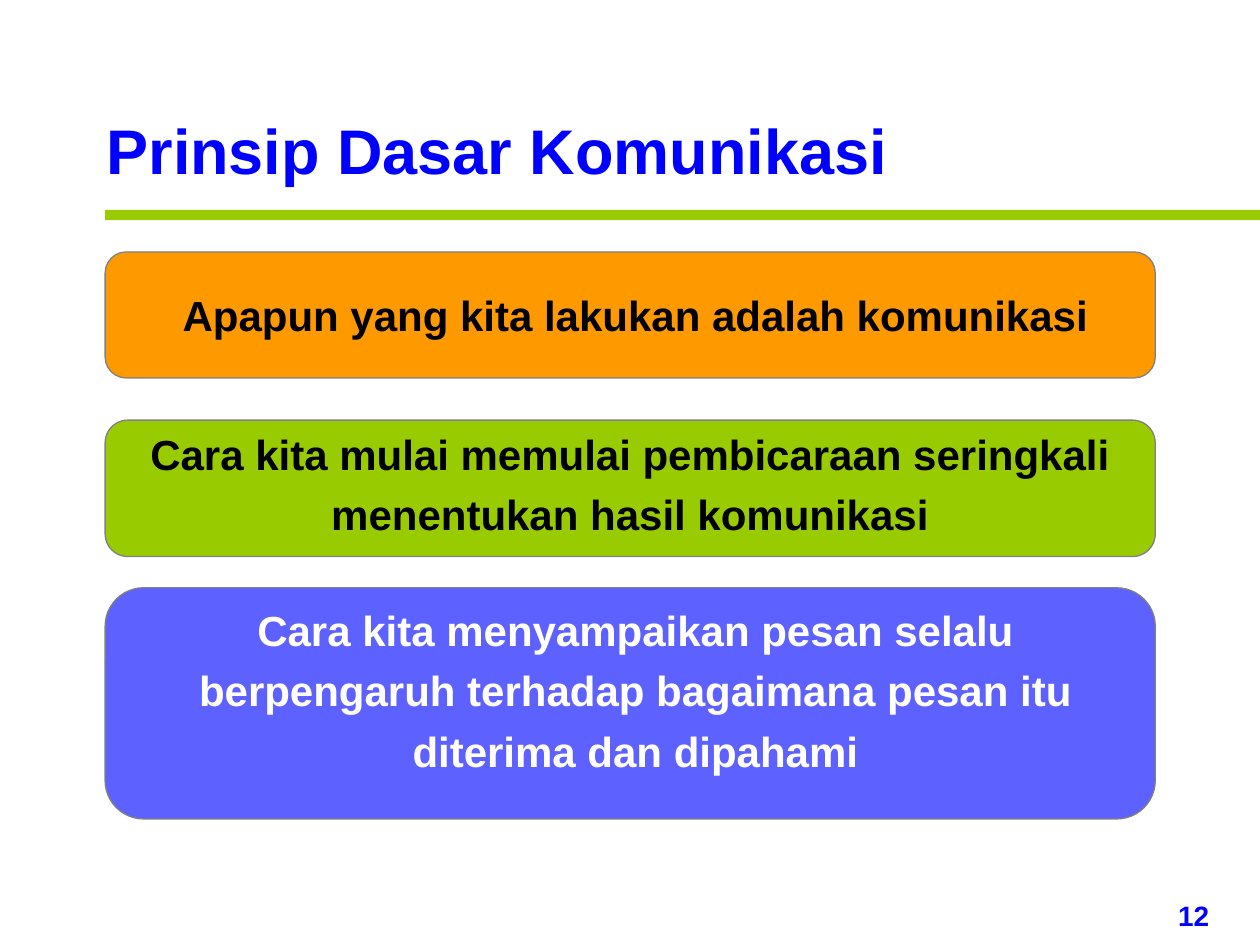
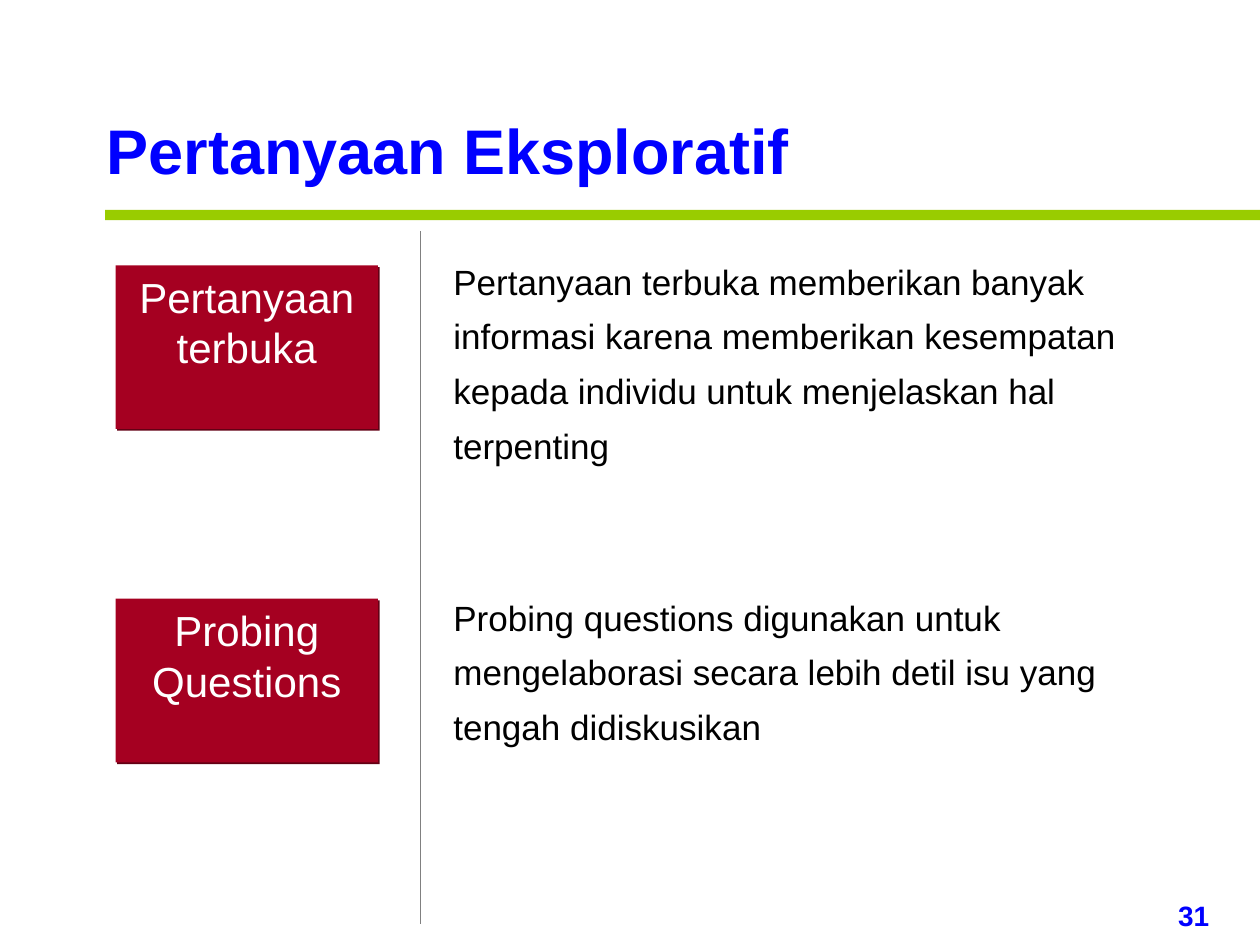
from lxml import etree
from pptx import Presentation
from pptx.dml.color import RGBColor
from pptx.enum.shapes import MSO_CONNECTOR, MSO_SHAPE
from pptx.enum.text import MSO_ANCHOR, PP_ALIGN
from pptx.oxml.ns import qn
from pptx.util import Cm, Pt

RECTANGLE, ROUNDED = MSO_SHAPE.RECTANGLE, MSO_SHAPE.ROUNDED_RECTANGLE
STRAIGHT = MSO_CONNECTOR.STRAIGHT
TOP = MSO_ANCHOR.TOP
LEFT, CENTER = PP_ALIGN.LEFT, PP_ALIGN.CENTER
FONT = "Arial"
COLORS = {
    "heading": "0000FF",
    "green": "99CC00",
    "orange": "FF9900",
    "violet": "5D61FF",
    "red": "A50021",
    "red_shadow": "630014",
    "outline": "808080",
    "black": "000000",
    "white": "FFFFFF",
}
MARGIN = 2.12


def write(holder, text, size, color, bold=False, align=LEFT, spacing=1.0):
    frame = holder.text_frame
    frame.text = text
    frame.word_wrap = True
    frame.vertical_anchor = TOP
    paragraph = frame.paragraphs[0]
    paragraph.alignment = align
    paragraph.line_spacing = spacing
    font = paragraph.runs[0].font
    font.name, font.size, font.bold = FONT, Pt(size), bold
    font.color.rgb = RGBColor.from_string(COLORS[color])


def add_panel(slide, kind, left, top, width, height, fill, outlined=False):
    panel = slide.shapes.add_shape(kind, Cm(left), Cm(top), Cm(width), Cm(height))
    panel.shadow.inherit = False
    panel.fill.solid()
    panel.fill.fore_color.rgb = RGBColor.from_string(COLORS[fill])
    if outlined:
        panel.line.color.rgb = RGBColor.from_string(COLORS["outline"])
        panel.line.width = Pt(0.75)
    else:
        panel.line.fill.background()
    return panel


prs = Presentation()
prs.slide_width, prs.slide_height = Cm(25.4), Cm(19.05)

slides = []
for heading, number in [("Prinsip Dasar Komunikasi", "12"), ("Pertanyaan Eksploratif", "31")]:
    slide = prs.slides.add_slide(prs.slide_layouts[6])
    page_number = slide.shapes.add_textbox(Cm(23.5), Cm(17.98), Cm(1.7), Cm(0.94))
    write(page_number, number, 16, "heading", bold=True)
    add_panel(slide, RECTANGLE, MARGIN, 4.23, 23.28, 0.21, "green")
    title = slide.shapes.add_textbox(Cm(1.9), Cm(2.12), Cm(18.2), Cm(1.78))
    write(title, heading, 36, "heading", bold=True)
    slides.append(slide)
principles_slide, questions_slide = slides

principles = [
    ("Apapun yang kita lakukan adalah komunikasi",
     "orange", "black", 5.08, 2.54, 5.5, 20.96),
    ("Cara kita mulai memulai pembicaraan seringkali menentukan hasil komunikasi",
     "green", "black", 8.47, 2.75, 8.31, 20.74),
    ("Cara kita menyampaikan pesan selalu berpengaruh terhadap bagaimana pesan itu "
     "diterima dan dipahami",
     "violet", "white", 11.85, 4.66, 11.85, 20.96),
]
for statement, fill, ink, top, height, text_top, text_width in principles:
    add_panel(principles_slide, ROUNDED, MARGIN, top, 21.17, height, fill, outlined=True)
    principle = principles_slide.shapes.add_textbox(
        Cm(2.33), Cm(text_top), Cm(text_width), Cm(height - 0.5))
    write(principle, statement, 24, ink, bold=True, align=CENTER, spacing=1.2)

questions = [
    ("Pertanyaan terbuka",
     "Pertanyaan terbuka memberikan banyak informasi karena memberikan kesempatan "
     "kepada individu untuk menjelaskan hal terpenting", 5.35, 4.87),
    ("Probing Questions",
     "Probing questions digunakan untuk mengelaborasi secara lebih detil isu yang "
     "tengah didiskusikan", 12.07, 11.64),
]
for label, explanation, label_top, explanation_top in questions:
    label_box = add_panel(questions_slide, RECTANGLE, 2.33, label_top, 5.29, 3.3, "red")
    write(label_box, label, 24, "white", align=CENTER)
    effects = label_box._element.spPr.find(qn("a:effectLst"))
    shadow = etree.SubElement(effects, qn("a:outerShdw"), dist="17780", dir="2700000",
                              algn="ctr", rotWithShape="0")
    etree.SubElement(shadow, qn("a:srgbClr"), val=COLORS["red_shadow"])
    explanation_box = questions_slide.shapes.add_textbox(
        Cm(8.89), Cm(explanation_top), Cm(15.66), Cm(4.67))
    write(explanation_box, explanation, 20, "black", spacing=1.3)

divider = questions_slide.shapes.add_connector(STRAIGHT, Cm(8.47), Cm(4.66), Cm(8.47), Cm(18.63))
divider.line.color.rgb = RGBColor.from_string(COLORS["outline"])
divider.line.width = Pt(0.75)
etree.SubElement(divider._element.spPr, qn("a:effectLst"))

prs.save("out.pptx")
